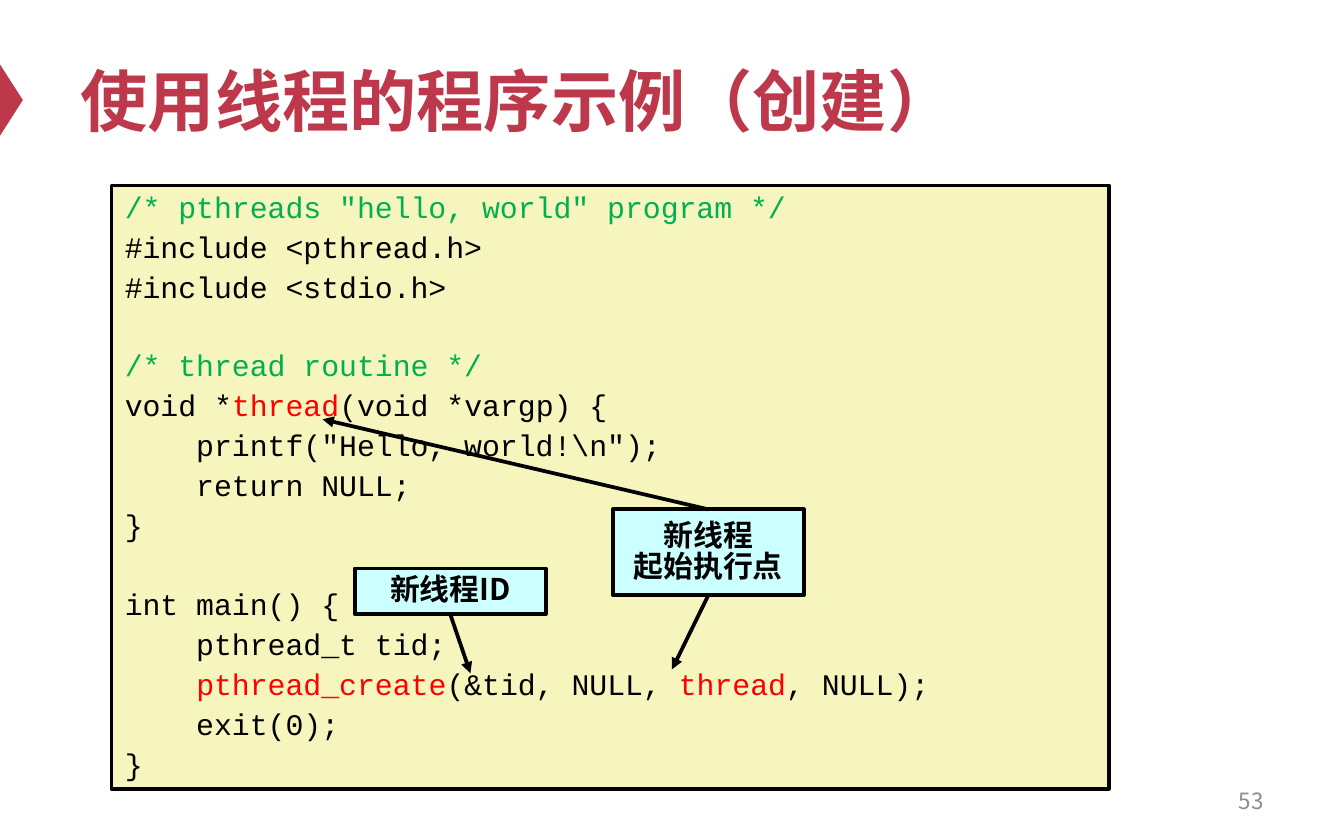
import pptx
import pptx.util
import pptx.dml.color
import pptx.enum.shapes
import pptx.enum.text
import pptx.oxml.ns
import lxml.etree

Inches, Pt = pptx.util.Inches, pptx.util.Pt
ALIGN = pptx.enum.text.PP_ALIGN
SHAPE = pptx.enum.shapes.MSO_SHAPE
CJK = "Noto Sans CJK SC"
BLACK, GREEN, RED, CRIMSON = "000000", "00B050", "FF0000", "BE384B"

TITLE = "使用线程的程序示例（创建）"
PAGE_NUMBER = "53"
CODE_BLOCKS = [
    [
        [('/* pthreads "hello, world" program */', GREEN)],
        [("#include <pthread.h>", BLACK)],
        [("#include <stdio.h>", BLACK)],
    ],
    [
        [("/* thread routine */", GREEN)],
        [("void *", BLACK), ("thread", RED), ("(void *vargp) {", BLACK)],
        [('    printf("Hello, world!\\n");', BLACK)],
        [("    return NULL;", BLACK)],
        [("}", BLACK)],
    ],
    [
        [("int main() {", BLACK)],
        [("    pthread_t tid;", BLACK)],
        [("    ", BLACK), ("pthread_create", RED), ("(&tid, NULL, ", BLACK),
         ("thread", RED), (", NULL);", BLACK)],
        [("    exit(0);", BLACK)],
        [("}", BLACK)],
    ],
]
CODE_AREA = (0.83, 1.38, 7.42, 4.49)
LABELS = [
    {"lines": ["新线程ID"], "area": (2.64, 4.23, 1.42, 0.34),
     "below": (3.5, 5.01)},
    {"lines": ["新线程", "起始执行点"], "area": (4.56, 3.79, 1.42, 0.64),
     "above": (2.4, 3.12), "below": (5, 4.98)},
]
LINE_GAP, BLOCK_GAP = 4.2, 24.7

TITLE_FORMAT = {"size": Pt(36), "bold": True, "name": "Arial"}
CODE_FORMAT = {"size": Pt(16), "bold": False, "name": "Courier New"}
LABEL_FORMAT = {"size": Pt(16), "bold": True, "name": CJK}
NUMBER_FORMAT = {"size": Pt(12), "bold": False, "name": CJK}


def colour(target, value):
    if hasattr(target, "solid"):
        target.solid()
        target = target.fore_color
    target.rgb = pptx.dml.color.RGBColor.from_string(value)


def add_span(para, text, value, font_format):
    span = para.add_run()
    span.text = text
    for name, setting in font_format.items():
        setattr(span.font, name, setting)
    colour(span.font.color, value)
    east_asian = lxml.etree.SubElement(span.font._element, pptx.oxml.ns.qn("a:ea"))
    east_asian.set("typeface", CJK)


def fill_text(box, lines, font_format, align, spacing=None, gaps=None):
    frame = box.text_frame
    frame.word_wrap = True
    frame.vertical_anchor = pptx.enum.text.MSO_ANCHOR.MIDDLE
    for index, spans in enumerate(lines):
        para = frame.add_paragraph() if index else frame.paragraphs[0]
        settings = {"alignment": align, "line_spacing": spacing,
                    "space_before": Pt(gaps[index] if gaps else 0)}
        for name, setting in settings.items():
            setattr(para, name, setting)
        for text, value in spans:
            add_span(para, text, value, font_format)


def add_panel(page, area, fill):
    panel = page.shapes.add_shape(SHAPE.RECTANGLE, *map(Inches, area))
    panel.shadow.inherit = False
    colour(panel.fill, fill)
    colour(panel.line.fill, BLACK)
    panel.line.width = Pt(2)
    return panel


def add_arrow(page, start, end):
    arrow = page.shapes.add_connector(
        pptx.enum.shapes.MSO_CONNECTOR.STRAIGHT, *map(Inches, start + end))
    colour(arrow.line.fill, BLACK)
    arrow.line.width = Pt(2)
    line = arrow.line._get_or_add_ln()
    lxml.etree.SubElement(line, pptx.oxml.ns.qn("a:tailEnd")).set("type", "triangle")
    lxml.etree.SubElement(arrow._element.spPr, pptx.oxml.ns.qn("a:effectLst"))


def add_label(page, label):
    left, top, width, height = label["area"]
    panel = add_panel(page, label["area"], "CCFFFF")
    lines = [[(text, BLACK)] for text in label["lines"]]
    fill_text(panel, lines, LABEL_FORMAT, ALIGN.CENTER, 0.88)
    for side, edge in (("above", top), ("below", top + height)):
        if side in label:
            add_arrow(page, (left + width / 2, edge), label[side])


def main():
    deck = pptx.Presentation()
    deck.slide_width, deck.slide_height = Inches(10), Inches(6.25)
    page = deck.slides.add_slide(deck.slide_layouts[5])

    title = page.shapes.title
    title.left, title.top, title.width, title.height = map(Inches, (0.5, 0.25, 9, 0.98))
    fill_text(title, [[(TITLE, CRIMSON)]], TITLE_FORMAT, ALIGN.LEFT)

    marker = page.shapes.add_shape(
        SHAPE.ISOSCELES_TRIANGLE, *map(Inches, (-0.18, 0.66, 0.53, 0.17)))
    marker.rotation = 90
    marker.shadow.inherit = False
    colour(marker.fill, CRIMSON)
    marker.line.fill.background()

    number = page.shapes.add_textbox(*map(Inches, (7.17, 5.79, 2.33, 0.33)))
    fill_text(number, [[(PAGE_NUMBER, "8C8C8C")]], NUMBER_FORMAT, ALIGN.RIGHT)

    lines = [line for block in CODE_BLOCKS for line in block]
    gaps = [LINE_GAP if row else BLOCK_GAP
            for block in CODE_BLOCKS for row in range(len(block))]
    gaps[0] = 0
    code = add_panel(page, CODE_AREA, "F6F5BD")
    fill_text(code, lines, CODE_FORMAT, ALIGN.LEFT, 0.9, gaps)

    for label in LABELS:
        add_label(page, label)
    deck.save("out.pptx")


if __name__ == "__main__":
    main()
